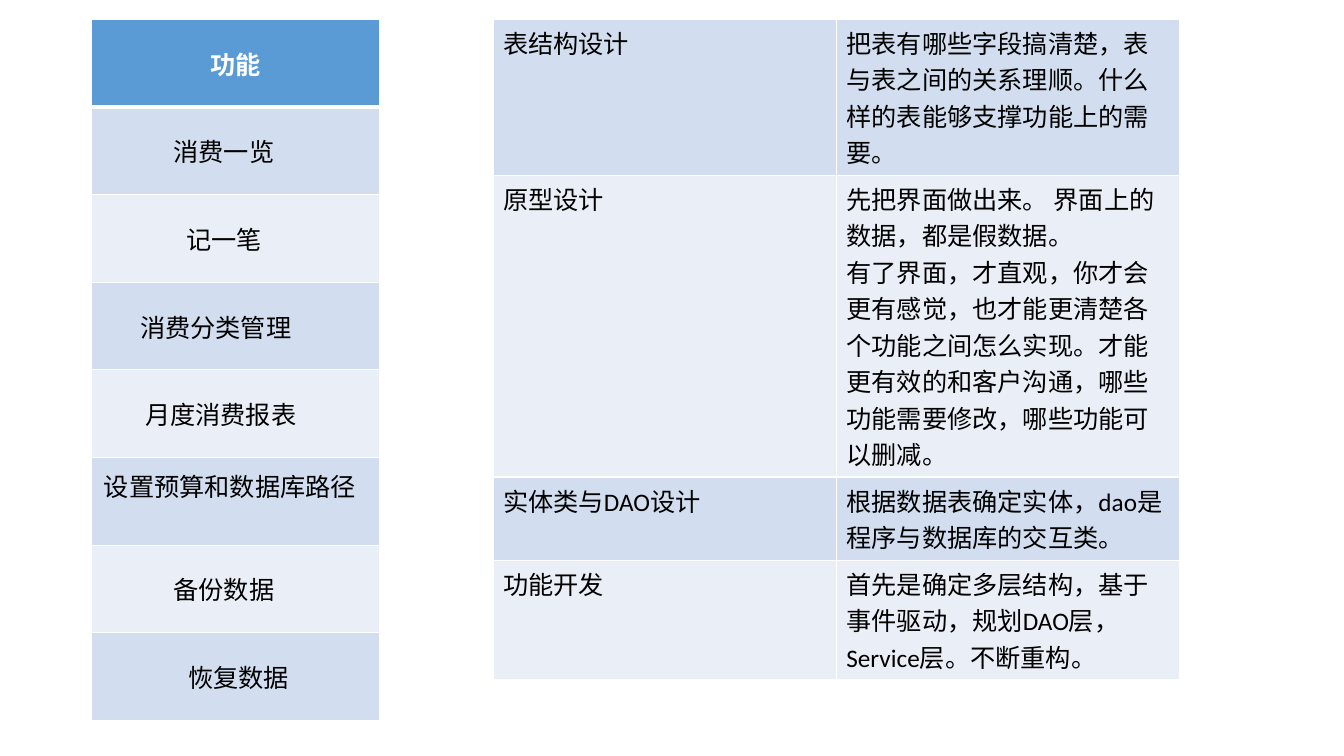
from lxml.etree import SubElement
from pptx import Presentation
from pptx.dml.color import RGBColor as RGB
from pptx.enum.text import MSO_ANCHOR as ANCHOR, PP_ALIGN as ALIGN
from pptx.oxml.ns import qn
from pptx.util import Inches, Pt

COLORS = {"header": "5B9BD5", "dark": "D2DEEF", "light": "EAEFF7",
          "line": "FFFFFF", "text": "000000"}
BANDS = ["dark", "light"]


def style_cell(cell, text, fill, color="text", bold=False, bottom=1):
    props = cell._tc.get_or_add_tcPr()
    for side, width in [("L", 1), ("R", 1), ("T", 1), ("B", bottom)]:
        ln = SubElement(props, qn(f"a:ln{side}"), w=str(Pt(width)))
        solid = SubElement(ln, qn("a:solidFill"))
        SubElement(solid, qn("a:srgbClr"), val=COLORS["line"])
    cell.fill.solid()
    cell.fill.fore_color.rgb = RGB.from_string(COLORS[fill])
    cell.text = text
    for p in cell.text_frame.paragraphs:
        p.font.size = Pt(18)
        p.font.name = "Calibri"
        p.font.bold = bold
        p.font.color.rgb = RGB.from_string(COLORS[color])


def add_grid(s, left, col_widths, row_heights):
    frame = s.shapes.add_table(
        len(row_heights), len(col_widths), Inches(left), Inches(0.19),
        Inches(sum(col_widths)), Inches(sum(row_heights)))
    table = frame.table
    for col, width in zip(table.columns, col_widths):
        col.width = Inches(width)
    for row, height in zip(table.rows, row_heights):
        row.height = Inches(height)
    return table


prs = Presentation()
prs.slide_width, prs.slide_height = Inches(13.33), Inches(7.5)
s = prs.slides.add_slide(prs.slide_layouts[6])

features = [
    ("功能", 0.1, 0.1),
    ("消费一览", 0.1, 0.34),
    ("记一笔", 0.1, 0.34),
    ("消费分类管理", 0.1, 0.5),
    ("月度消费报表", 0.1, 0.4),
    ("设置预算和数据库路径", 0.1, 0.22),
    ("备份数据", 0.1, 0.34),
    ("恢复数据", 0.15, 0.1),
]
feature_table = add_grid(s, 0.91, [2.86], [0.87] * len(features))
for i, (text, left, right) in enumerate(features):
    cell = feature_table.cell(i, 0)
    if i == 0:
        style_cell(cell, text, "header", "line", True, 3)
    else:
        style_cell(cell, text, BANDS[(i - 1) % 2])
    cell.vertical_anchor = ANCHOR.MIDDLE
    cell.margin_left, cell.margin_right = Inches(left), Inches(right)
    cell.text_frame.paragraphs[0].alignment = ALIGN.CENTER
feature_table.cell(5, 0).margin_bottom = Inches(0.37)

steps = [
    ("表结构设计", "把表有哪些字段搞清楚，表与表之间的关系理顺。什么样的表能够支撑功能上的需要。"),
    ("原型设计", "先把界面做出来。 界面上的数据，都是假数据。\n"
     "有了界面，才直观，你才会更有感觉，也才能更清楚各个功能之间怎么实现。"
     "才能更有效的和客户沟通，哪些功能需要修改，哪些功能可以删减。"),
    ("实体类与DAO设计", "根据数据表确定实体，dao是程序与数据库的交互类。"),
    ("功能开发", "首先是确定多层结构，基于事件驱动，规划DAO层，Service层。不断重构。"),
]
step_table = add_grid(s, 4.89, [6.81 / 2] * 2, [1.36, 2.61, 0.73, 1.05])
for i, step in enumerate(steps):
    for j, text in enumerate(step):
        style_cell(step_table.cell(i, j), text, BANDS[i % 2])

prs.save("out.pptx")
